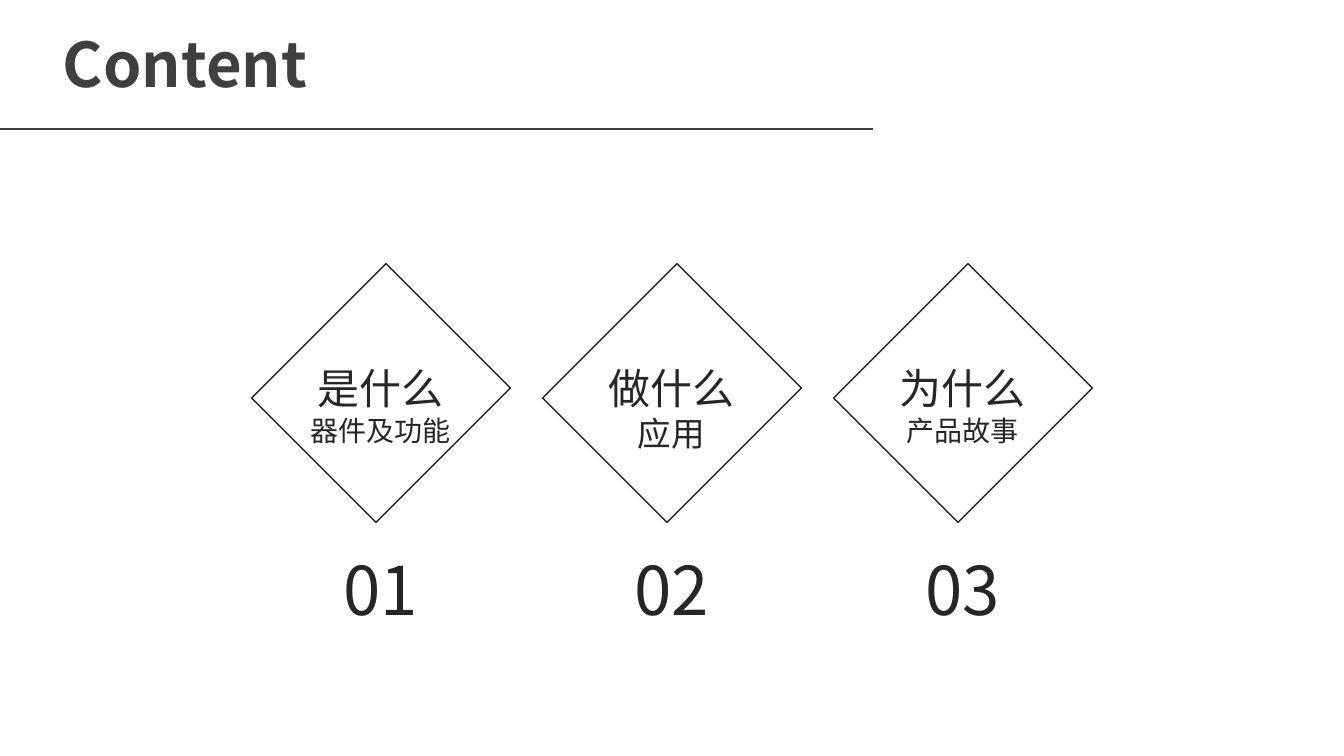
from lxml.etree import SubElement
from pptx import Presentation
from pptx.dml.color import RGBColor
from pptx.enum.shapes import MSO_CONNECTOR, MSO_SHAPE
from pptx.enum.text import MSO_ANCHOR, PP_ALIGN
from pptx.oxml.ns import qn
from pptx.util import Emu, Pt

EMU_PER_PIXEL = 914400 / 100.8
COLORS = {"heading": "3F3F3F", "ink": "262626"}
FONT = "Noto Sans CJK SC"


def px(pixels):
    """Turn pixels into EMU."""
    return Emu(round(pixels * EMU_PER_PIXEL))


class SlideBuilder:
    """Holds the style and the current slide."""

    def __init__(self, slide, font, colors):
        """Keep the slide, its font and its colours."""
        self.slide = slide
        self.font = font
        self.colors = {name: RGBColor.from_string(code) for name, code in colors.items()}

    def line(self, start, end, color, width):
        """Draw a straight line between two points."""
        connector = self.slide.shapes.add_connector(
            MSO_CONNECTOR.STRAIGHT, *map(px, start + end))
        connector.line.color.rgb = self.colors[color]
        connector.line.width = Pt(width)
        SubElement(connector._element.spPr, qn("a:effectLst"))

    def diamond(self, left, top, width, height, color):
        """Draw an outlined rectangle standing on its corner."""
        shape = self.slide.shapes.add_shape(
            MSO_SHAPE.RECTANGLE, *map(px, (left, top, width, height)))
        shape.rotation = 315
        shape.shadow.inherit = False
        shape.fill.background()
        shape.line.color.rgb = self.colors[color]
        shape.line.width = Pt(1)

    def text(self, box, lines, color, align=PP_ALIGN.CENTER,
             anchor=MSO_ANCHOR.TOP, bold=False, spacing=1.0):
        """Write (wording, size) lines, one paragraph each."""
        text_frame = self.slide.shapes.add_textbox(*map(px, box)).text_frame
        text_frame.word_wrap = True
        text_frame.vertical_anchor = anchor
        text_frame.text = "\n".join(wording for wording, size in lines)
        for paragraph, (wording, size) in zip(text_frame.paragraphs, lines):
            paragraph.alignment = align
            paragraph.line_spacing = spacing
            run = paragraph.runs[0]
            run.font.name = self.font
            run.font.size = Pt(size)
            run.font.bold = bold
            run.font.color.rgb = self.colors[color]
            SubElement(run._r.get_or_add_rPr(), qn("a:ea"), typeface=self.font)


presentation = Presentation()
presentation.slide_width, presentation.slide_height = px(1344), px(756)
builder = SlideBuilder(
    presentation.slides.add_slide(presentation.slide_layouts[6]), FONT, COLORS)

builder.line((0, 129), (873, 129), "heading", 1.25)
builder.text((53, 32, 1080, 72), [("Content", 44)], "heading", PP_ALIGN.LEFT,
             MSO_ANCHOR.MIDDLE, bold=True, spacing=0.9)

SECTIONS = [("是什么", "器件及功能", 20), ("做什么", "应用", 24), ("为什么", "产品故事", 20)]
SECTION_LEFT, SECTION_PITCH = 286, 291
for index, (question, topic, topic_size) in enumerate(SECTIONS):
    left = SECTION_LEFT + index * SECTION_PITCH
    builder.diamond(left, 305, 190, 176, "ink")
    builder.text((left + 9, 358, 171, 95), [(question, 30), (topic, topic_size)], "ink")
    builder.text((left + 9, 543, 171, 106), [(f"{index + 1:02}", 48)], "ink")

presentation.save("out.pptx")
